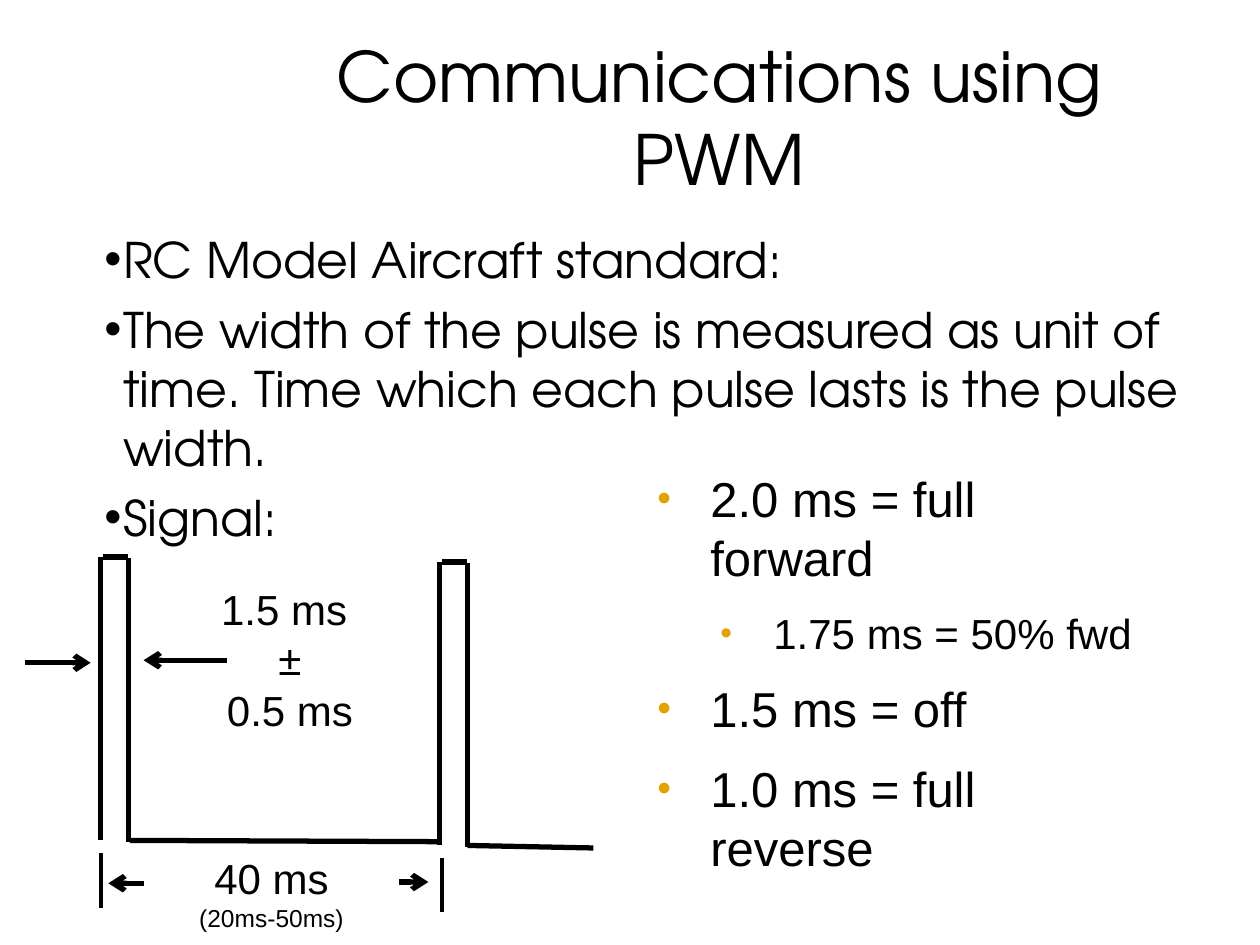
from typing import NamedTuple, Optional

from lxml import etree
from pptx import Presentation
from pptx import util as u
from pptx.dml.color import RGBColor
from pptx.enum import shapes, text
from pptx.oxml import ns

BLACK = RGBColor(0x00, 0x00, 0x00)
GOLD = RGBColor(0xE2, 0xA2, 0x00)
DISPLAY = "TeX Gyre Adventor"
PLAIN = "Arial"


class Line(NamedTuple):
    x1: float
    y1: float
    x2: float
    y2: float
    width: float = 3
    arrow: bool = False


class Bullet(NamedTuple):
    color: RGBColor
    indent: float
    hang: float
    size: int = 100


class Para(NamedTuple):
    words: str
    size: float
    bullet: Optional[Bullet] = None
    before: float = 0
    level: int = 0


class Box(NamedTuple):
    left: float
    top: float
    width: float
    height: float
    font: str
    paras: list[Para]
    margin: float = 0.05
    side: float = 0.1
    align: text.PP_ALIGN = text.PP_ALIGN.LEFT
    anchor: text.MSO_ANCHOR = text.MSO_ANCHOR.TOP
    grow: bool = False


def draw_line(s, line: Line) -> None:
    c = s.shapes.add_connector(
        shapes.MSO_CONNECTOR.STRAIGHT,
        *(u.Inches(v) for v in (line.x1, line.y1, line.x2, line.y2)))
    c.line.color.rgb = BLACK
    c.line.width = u.Pt(line.width)
    if line.arrow:
        etree.SubElement(c.line._get_or_add_ln(), ns.qn("a:tailEnd"), type="arrow")
    etree.SubElement(c._element.spPr, ns.qn("a:effectLst"))


def pulse(left: float, top: float) -> list[Line]:
    """Rising edge, roof and falling edge of one pulse."""
    right = left + 0.22
    return [Line(left, top + 2.25, left, top),
            Line(left + 0.02, top, right, top),
            Line(right, top + 2.26, right, top + 0.01)]


def add_bullet(p, bullet: Bullet) -> None:
    pPr = p._p.get_or_add_pPr()
    pPr.set("marL", str(u.Inches(bullet.indent)))
    pPr.set("indent", str(-u.Inches(bullet.hang)))
    clr = etree.SubElement(pPr, ns.qn("a:buClr"))
    etree.SubElement(clr, ns.qn("a:srgbClr"), val=str(bullet.color))
    etree.SubElement(pPr, ns.qn("a:buSzPct"), val=str(bullet.size * 1000))
    etree.SubElement(pPr, ns.qn("a:buFont"), typeface=PLAIN)
    etree.SubElement(pPr, ns.qn("a:buChar"), char="•")


def draw_box(s, box: Box) -> None:
    sp = s.shapes.add_textbox(*(u.Inches(v) for v in box[:4]))
    tf = sp.text_frame
    tf.word_wrap = True
    tf.vertical_anchor = box.anchor
    tf.margin_top = tf.margin_bottom = u.Inches(box.margin)
    tf.margin_left = tf.margin_right = u.Inches(box.side)
    if box.grow:
        tf.auto_size = text.MSO_AUTO_SIZE.SHAPE_TO_FIT_TEXT
    for i, para in enumerate(box.paras):
        p = tf.add_paragraph() if i else tf.paragraphs[0]
        p.alignment = box.align
        p.level = para.level
        if para.bullet:
            add_bullet(p, para.bullet)
        if i:
            p.space_before = u.Pt(para.before)
        r = p.add_run()
        r.text = para.words
        r.font.name = box.font
        r.font.size = u.Pt(para.size)
        r.font.color.rgb = BLACK


BODY = Bullet(BLACK, 0.38, 0.15)
OUTER = Bullet(GOLD, 0.46, 0.42, 80)
INNER = Bullet(GOLD, 0.96, 0.42, 80)
CENTER = text.PP_ALIGN.CENTER

TITLE = Box(1.92, 0.3, 7.58, 1.25, DISPLAY,
            [Para("Communications using PWM", 39.6)],
            margin=0.1, align=CENTER, anchor=text.MSO_ANCHOR.MIDDLE)
POINTS = Box(0.5, 1.72, 9, 4.95, DISPLAY, [
    Para(words, 28, BODY, 6.4) for words in (
        "RC Model Aircraft standard:",
        "The width of the pulse is measured as unit of time. "
        "Time which each pulse lasts is the pulse width.",
        "Signal:")], margin=0.1)
WIDTH_LABEL = Box(1.53, 4.58, 1.45, 1.31, PLAIN, [
    Para(words, 24) for words in ("1.5 ms", " ±", " 0.5 ms")],
    align=CENTER, grow=True)
PERIOD_LABEL = Box(1.14, 6.72, 2.03, 0.81, PLAIN, [
    Para("40 ms", 24), Para("(20ms-50ms)", 14)], align=CENTER, grow=True)
COMMANDS = Box(5.08, 3.67, 4.08, 3.29, PLAIN, [
    Para("2.0 ms = full forward", 28, OUTER, 12),
    Para("1.75 ms = 50% fwd", 24, INNER, 12, 1),
    Para("1.5 ms = off", 28, OUTER, 12),
    Para("1.0 ms = full reverse", 28, OUTER, 12)])

SIGNAL = [
    *pulse(0.8, 4.42),
    *pulse(3.49, 4.46),
    Line(1.03, 6.67, 3.48, 6.68),  # low level between pulses
    Line(3.71, 6.71, 4.71, 6.73),  # low level after the second pulse
]
DIMENSIONS = [
    # Pulse width
    Line(0.2, 5.26, 0.72, 5.26, arrow=True),
    Line(1.8, 5.24, 1.14, 5.24, arrow=True),
    # Period
    Line(0.8, 6.77, 0.8, 7.21, 2.25),
    Line(3.51, 6.81, 3.51, 7.24, 2.25),
    Line(1.14, 7.01, 0.86, 7.01, arrow=True),
    Line(3.17, 7, 3.4, 7, arrow=True),
]


def main() -> None:
    prs = Presentation()
    prs.slide_width, prs.slide_height = u.Inches(10), u.Inches(7.5)
    s = prs.slides.add_slide(prs.slide_layouts[6])
    # Heading and main points
    for box in (TITLE, POINTS):
        draw_box(s, box)
    # Signal diagram
    for line in SIGNAL + DIMENSIONS:
        draw_line(s, line)
    # Labels and command list
    for box in (WIDTH_LABEL, PERIOD_LABEL, COMMANDS):
        draw_box(s, box)
    prs.save("out.pptx")


if __name__ == "__main__":
    main()
